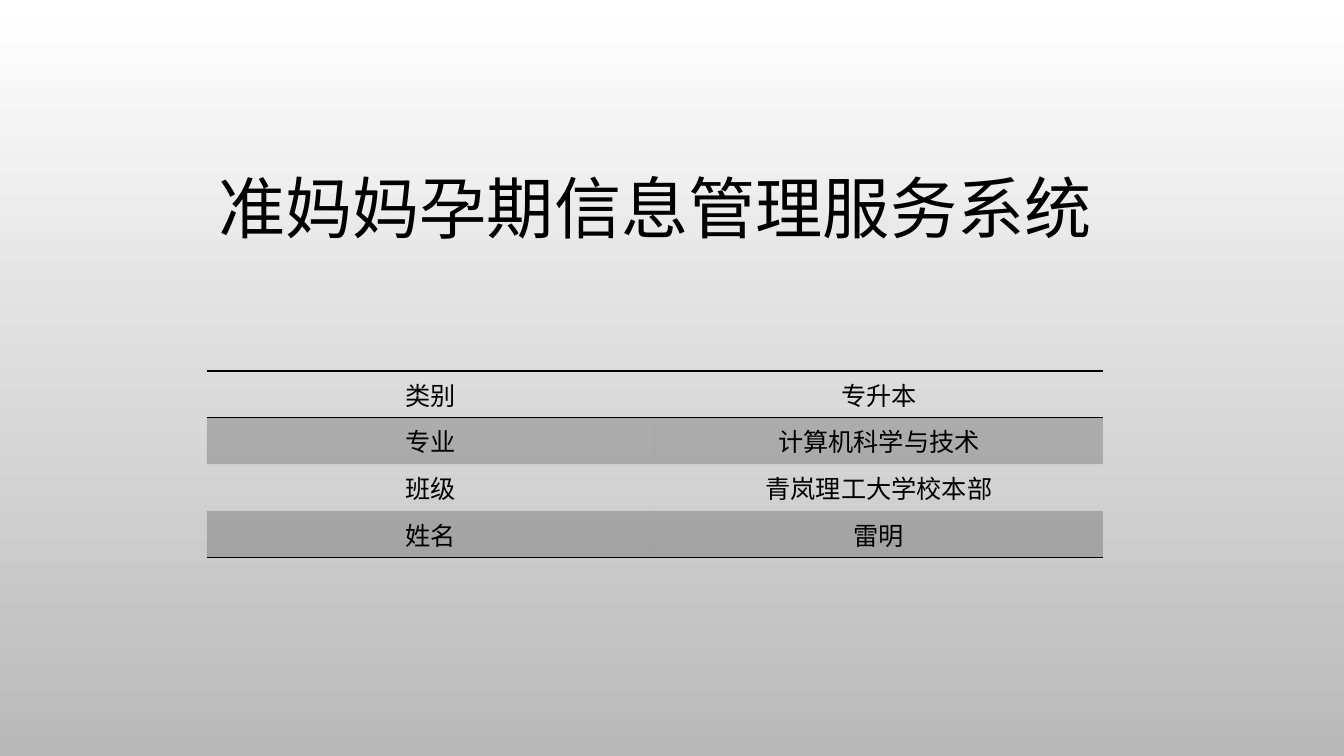
from lxml.etree import SubElement
from pptx import Presentation
from pptx.dml.color import RGBColor
from pptx.enum.text import MSO_ANCHOR, PP_ALIGN
from pptx.oxml import parse_xml
from pptx.oxml.ns import nsdecls, qn
from pptx.util import Pt

PX = 914400 / 100.8
BLACK = RGBColor(0x00, 0x00, 0x00)
WHITE = RGBColor(0xFF, 0xFF, 0xFF)
GRAY = RGBColor(0xB9, 0xB9, 0xB9)
FONT = "Calibri"
PLAIN_TABLE_STYLE = "{2D5ABB26-0587-4C30-8999-92F81FD0307C}"

TITLE = "准妈妈孕期信息管理服务系统"
DETAILS = [
    ("类别", "专升本"),
    ("专业", "计算机科学与技术"),
    ("班级", "青岚理工大学校本部"),
    ("姓名", "雷明"),
]
COLUMN_WIDTH, ROW_HEIGHT = 448, 41


def px(length):
    return round(length * PX)


def add_centred_run(text_frame, text, size):
    paragraph = text_frame.paragraphs[0]
    paragraph.alignment = PP_ALIGN.CENTER
    run = paragraph.add_run()
    run.text = text
    run.font.name = FONT
    run.font.size = Pt(size)
    run.font.bold = False
    run.font.color.rgb = BLACK
    return paragraph


presentation = Presentation()
presentation.slide_width = px(1344)
presentation.slide_height = px(756)
slide = presentation.slides.add_slide(presentation.slide_layouts[0])

# Background
background = slide.background.fill
background.gradient()
background.gradient_angle = 270
for stop, position, color in zip(background.gradient_stops, (0, 1), (WHITE, GRAY)):
    stop.position = position
    stop.color.rgb = color

# Title
title = slide.shapes.title
title.left, title.top, title.width, title.height = px(176), px(164), px(958), px(89)
title.text_frame.vertical_anchor = MSO_ANCHOR.BOTTOM
title.text_frame.word_wrap = True
add_centred_run(title.text_frame, TITLE, 48).line_spacing = 0.9
subtitle = slide.placeholders[1].element
subtitle.getparent().remove(subtitle)

# Details table
frame = slide.shapes.add_table(
    len(DETAILS), 2, px(207), px(371), px(2 * COLUMN_WIDTH), px(len(DETAILS) * ROW_HEIGHT)
)
table = frame.table
table.first_row = False
table.horz_banding = False
table._tbl.tblPr.find(qn("a:tableStyleId")).text = PLAIN_TABLE_STYLE
for column in table.columns:
    column.width = px(COLUMN_WIDTH)

ruled_edges = {0: ("lnT", "lnB"), len(DETAILS) - 1: ("lnB",)}
for row_index, texts in enumerate(DETAILS):
    table.rows[row_index].height = px(ROW_HEIGHT)
    for column_index, text in enumerate(texts):
        cell = table.cell(row_index, column_index)
        add_centred_run(cell.text_frame, text, 18)
        if row_index % 2:
            cell.fill.solid()
            cell.fill.fore_color.rgb = BLACK
            color = cell._tc.tcPr.find(f".//{qn('a:srgbClr')}")
            SubElement(color, qn("a:alpha"), val="20000")
        else:
            cell.fill.background()
        for position, edge in enumerate(ruled_edges.get(row_index, ())):
            border = parse_xml(
                f'<a:{edge} {nsdecls("a")} w="{Pt(1)}"><a:solidFill>'
                f'<a:srgbClr val="{BLACK}"/></a:solidFill></a:{edge}>'
            )
            cell._tc.tcPr.insert(position, border)

presentation.save("out.pptx")
